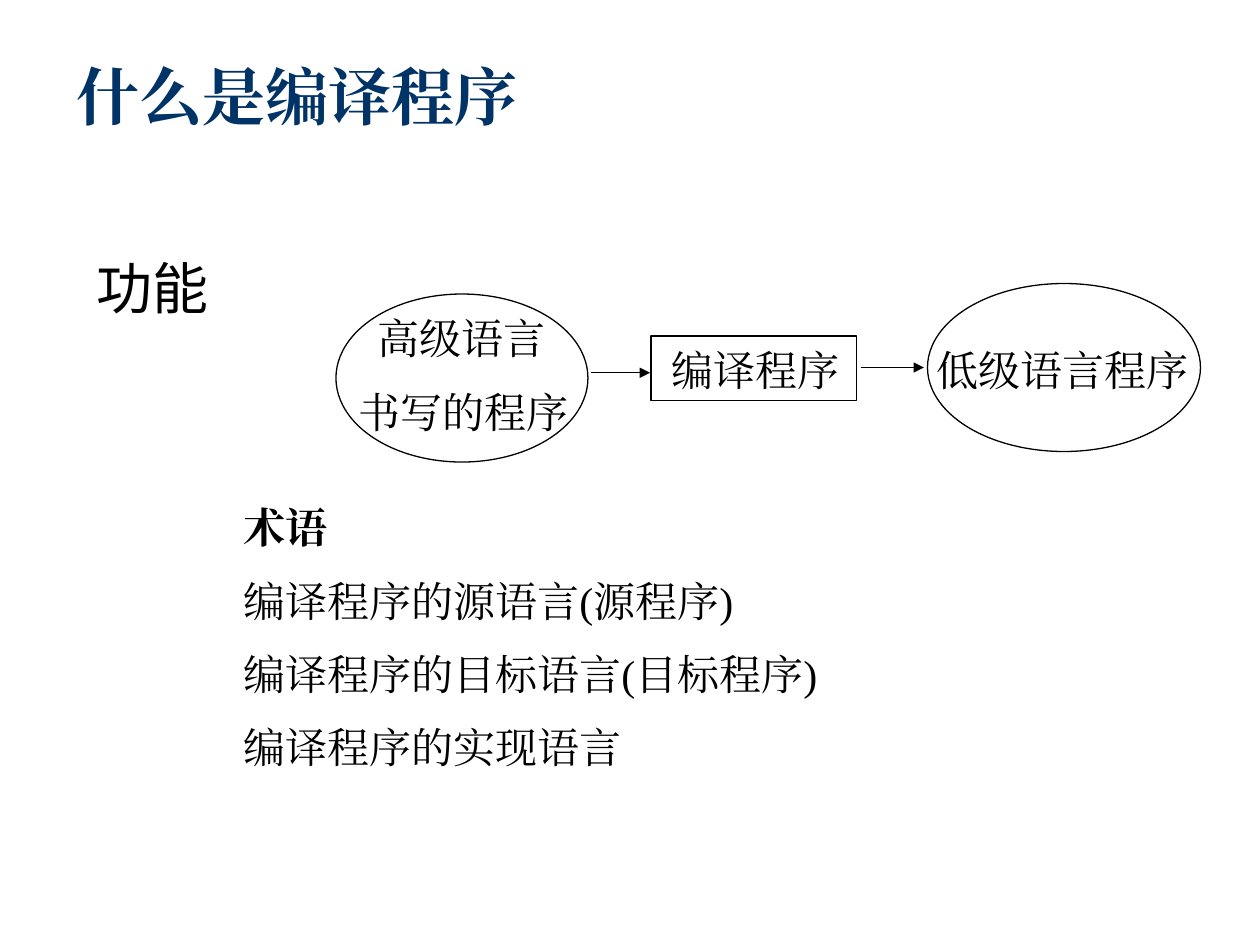
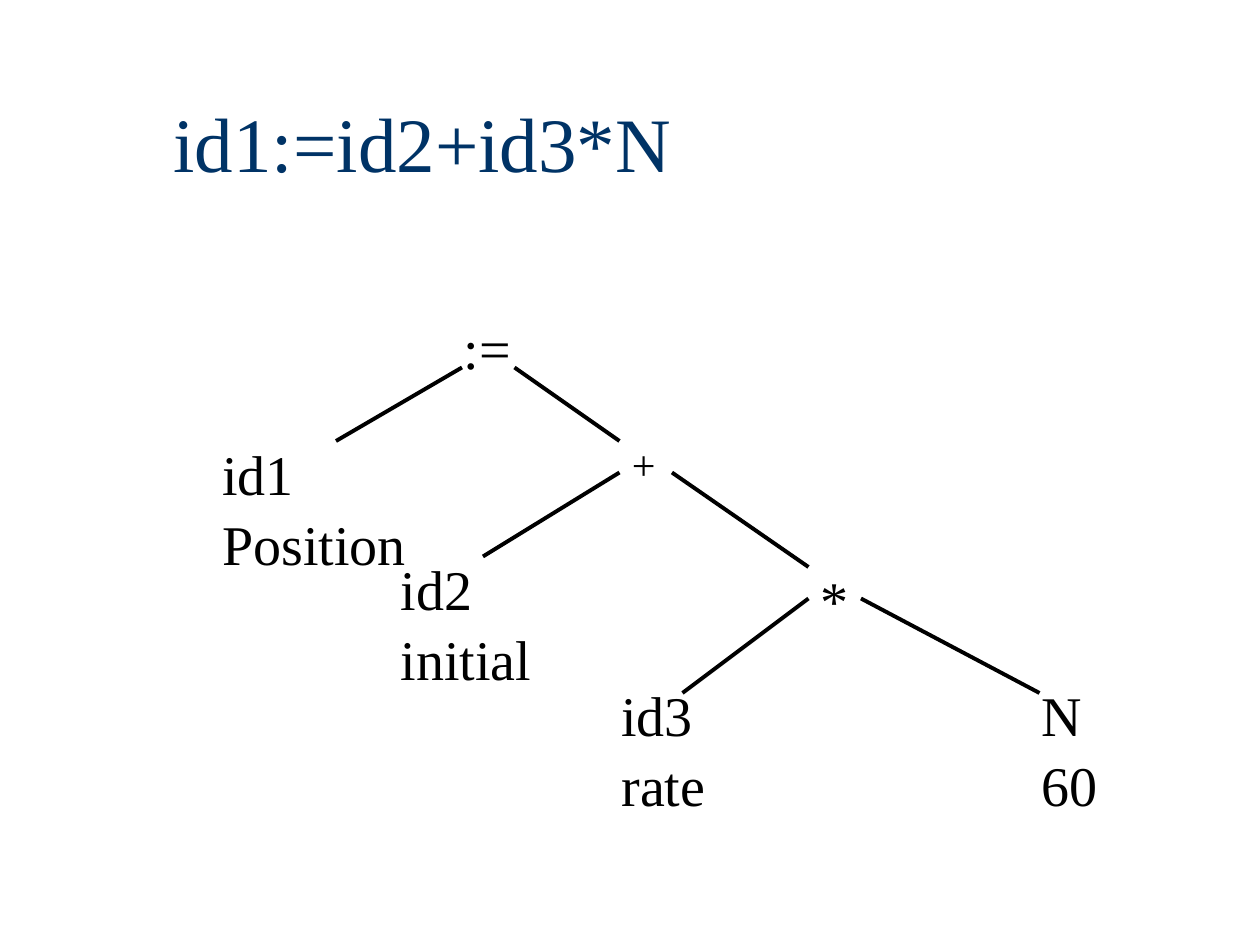
from lxml import etree
from pptx import Presentation
from pptx import util as u
from pptx.dml.color import RGBColor
from pptx.enum import shapes, text
from pptx.oxml.ns import qn

Pt = u.Pt
COLORS = {"title": "003366", "ink": "000000"}
SERIF, SANS = "Times New Roman", "Arial"
TITLE_ONLY = 5


def rgb(name):
    """Return a palette colour."""
    return RGBColor.from_string(COLORS[name])


def write(tf, lines, size=24, font=SERIF, color="ink", bold_first=False,
          spacing=1.04, indent=0, anchor=text.MSO_ANCHOR.TOP):
    """Fill a text frame, one paragraph a line; indent shifts the first."""
    tf.word_wrap = True
    tf.auto_size = text.MSO_AUTO_SIZE.NONE
    tf.vertical_anchor = anchor
    for i, line in enumerate(lines):
        p = tf.paragraphs[0] if i == 0 else tf.add_paragraph()
        p.alignment = text.PP_ALIGN.LEFT
        p.line_spacing = spacing
        p.space_before = Pt(size / 2 if i else 0)
        if i == 0 and indent:
            p._p.get_or_add_pPr().set("indent", str(Pt(indent)))
        r = p.add_run()
        r.text = line
        f = r.font
        f.size, f.name, f.bold = Pt(size), font, bold_first and i == 0
        f.color.rgb = rgb(color)
        ea = etree.SubElement(r._r.get_or_add_rPr(), qn("a:ea"))
        ea.set("typeface", font)


def add_label(parent, box, lines, **fmt):
    """Add a text box at a box given in points."""
    sp = parent.add_textbox(*map(Pt, box))
    write(sp.text_frame, lines, **fmt)


def add_outline(parent, kind, box):
    """Add an unfilled shape with a thin outline."""
    sp = parent.add_shape(kind, *map(Pt, box))
    sp.shadow.inherit = False
    sp.fill.background()
    sp.line.color.rgb = rgb("ink")
    sp.line.width = Pt(0.75)
    return sp


def add_line(parent, start, end, width, arrow=False):
    """Add a straight line, with an arrowhead if asked."""
    c = parent.add_connector(shapes.MSO_CONNECTOR.STRAIGHT,
                             *map(Pt, (*start, *end)))
    c.line.color.rgb = rgb("ink")
    c.line.width = Pt(width)
    if arrow:
        etree.SubElement(c.line._get_or_add_ln(), qn("a:tailEnd"), type="triangle")
    etree.SubElement(c._element.spPr, qn("a:effectLst"))


def add_titled_slide(prs, title, box, size, bold=False):
    """Add a title-only slide and format its title."""
    s = prs.slides.add_slide(prs.slide_layouts[TITLE_ONLY])
    sp = s.shapes.title
    sp.left, sp.top, sp.width, sp.height = map(Pt, box)
    write(sp.text_frame, [title], size=size, color="title", bold_first=bold,
          spacing=1, anchor=text.MSO_ANCHOR.MIDDLE)
    return s


def add_flow(parent, x, y):
    """Draw source program, compiler and target program from left to right."""
    oval, rect = shapes.MSO_SHAPE.OVAL, shapes.MSO_SHAPE.RECTANGLE
    add_label(parent, (x + 6, y + 12, 150, 79), ["高级语言", "书写的程序"], indent=10.5)
    sp = add_outline(parent, rect, (x + 180, y + 30, 117.5, 36.75))
    write(sp.text_frame, ["编译程序"])
    sp.text_frame.margin_left, sp.text_frame.margin_right = Pt(12), 0
    add_label(parent, (x + 336, y + 30, 162, 36), ["低级语言程序"])
    add_line(parent, (x + 145.5, y + 51), (x + 179.5, y + 51), 0.75, arrow=True)
    add_line(parent, (x + 300, y + 48), (x + 336, y + 48), 0.75, arrow=True)
    add_outline(parent, oval, (x, y + 6, 144, 96))
    add_outline(parent, oval, (x + 338, y, 156, 96))


def add_syntax_tree(parent, x, y):
    """Draw the syntax tree of the assignment as one group."""
    nodes = [(":=", 138, 0, 48, 45, 32), ("+", 234, 72, 48, 36, 24),
             ("N 60", 468, 210, 48, 84, 32), ("*", 342, 144, 48, 45, 32),
             ("id1 Position", 0, 72, 120, 84, 32),
             ("id2 initial", 102, 138, 90, 84, 32),
             ("id3 rate", 228, 210, 66, 84, 32)]
    edges = [(144, 36, 72, 78), (174, 36, 234, 78), (234, 96, 156, 144),
             (264, 96, 342, 150), (372, 168, 474, 222), (342, 168, 270, 222)]
    tree = parent.add_group_shape().shapes
    for label, dx, dy, w, h, size in nodes:
        add_label(tree, (x + dx, y + dy, w, h), [label], size=size)
    for x1, y1, x2, y2 in edges:
        add_line(tree, (x + x1, y + y1), (x + x2, y + y2), 2.25)


def build_compiler_slide(prs):
    """Build the slide on what a compiler is."""
    s = add_titled_slide(prs, "什么是编译程序", (36.75, 12.25, 647, 84), 36, bold=True)
    add_label(s.shapes, (48, 145.5, 635, 42), ["功能"], size=32, font=SANS, spacing=0.9)
    terms = ["术语", "编译程序的源语言(源程序)", "编译程序的目标语言(目标程序)",
             "编译程序的实现语言"]
    add_label(s.shapes, (132, 282, 392, 166), terms, bold_first=True)
    add_flow(s.shapes, 192, 162)


def build_tree_slide(prs):
    """Build the slide with the syntax tree."""
    s = add_titled_slide(prs, "id1:=id2+id3*N", (92, 36, 612, 90), 44)
    add_syntax_tree(s.shapes, 120, 174)


def main():
    """Build and save the presentation."""
    prs = Presentation()
    prs.slide_width, prs.slide_height = Pt(720), Pt(540)
    build_compiler_slide(prs)
    build_tree_slide(prs)
    prs.save("out.pptx")


if __name__ == "__main__":
    main()
